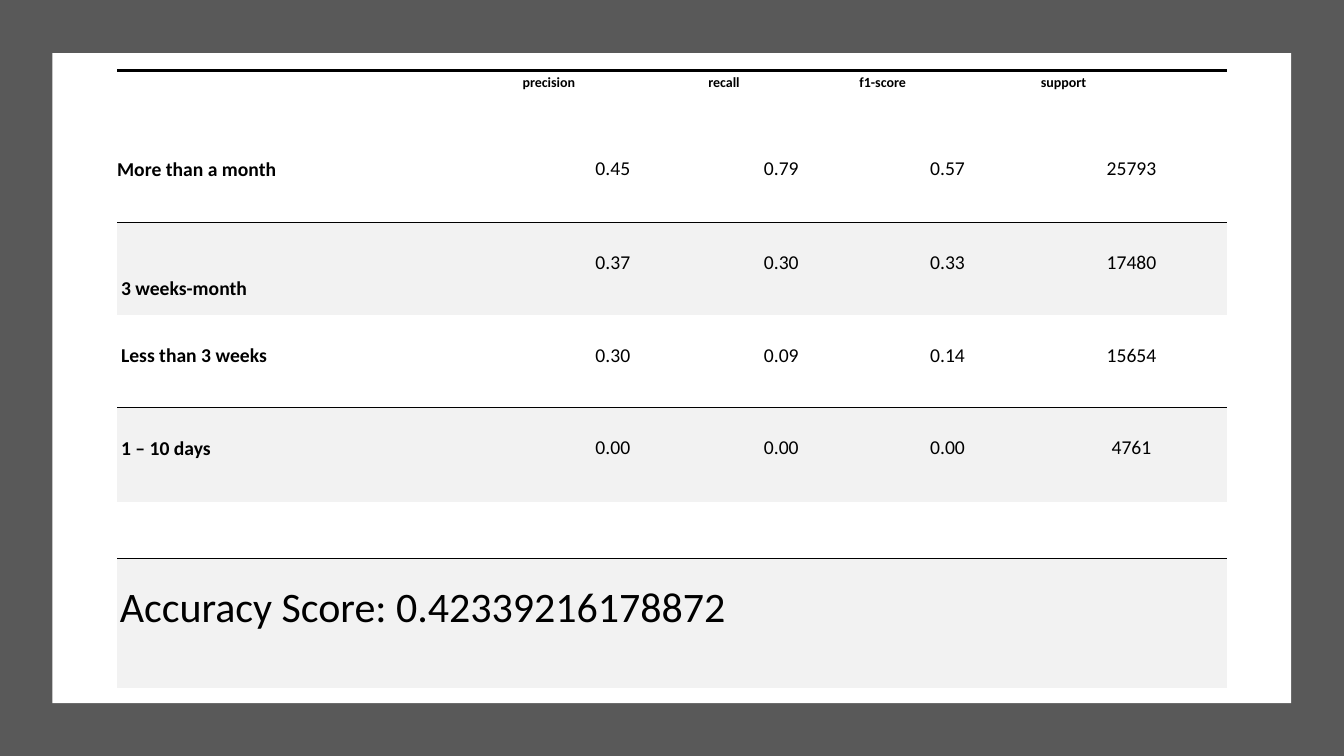
import lxml.etree
import pptx
import pptx.dml.color
import pptx.enum.shapes
import pptx.enum.text
import pptx.oxml.ns
import pptx.util
from pptx.util import Cm, Pt

CENTER = pptx.enum.text.PP_ALIGN.CENTER
LEFT = pptx.enum.text.PP_ALIGN.LEFT
NO_STYLE = "{2D5ABB26-0587-4C30-8999-92F81FD0307C}"

COLUMN_WIDTHS = [10.22, 4.68, 3.81, 4.57, 4.7]
ROW_HEIGHTS = [1.45, 2.36, 2.34, 2.34, 2.38, 1.42, 3.26]
METRICS = ["precision", "recall", "f1-score", "support"]
# label, left and top margin of the label in cm, values
CLASSES = [
    ("More than a month", 0, 0.7, ["0.45", "0.79", "0.57", "25793"]),
    ("3 weeks-month", 0.1, 1.34, ["0.37", "0.30", "0.33", "17480"]),
    ("Less than 3 weeks", 0.1, 0.7, ["0.30", "0.09", "0.14", "15654"]),
    ("1 – 10 days", 0.1, 0.7, ["0.00", "0.00", "0.00", "4761"]),
]
SHADED_ROWS = (2, 4, 6)


def paint(color_format, value):
    color_format.rgb = pptx.dml.color.RGBColor.from_string(value)


class ReportSlide:
    font = "Calibri"
    ink = "000000"
    paper = "FFFFFF"
    shade = "F2F2F2"
    surround = "595959"

    def __init__(self, presentation):
        self.slide = presentation.slides.add_slide(presentation.slide_layouts[6])

    def panel(self, left, top, width, height, color):
        shape = self.slide.shapes.add_shape(
            pptx.enum.shapes.MSO_SHAPE.RECTANGLE, left, top, width, height)
        shape.shadow.inherit = False
        shape.fill.solid()
        paint(shape.fill.fore_color, color)
        shape.line.fill.background()

    def table(self, left, top, column_widths, row_heights):
        """Add a plain table without style or banding."""
        frame = self.slide.shapes.add_table(
            len(row_heights), len(column_widths), left, top,
            Cm(sum(column_widths)), Cm(sum(row_heights)))
        table = frame.table
        table.first_row = table.horz_banding = False
        for style in frame.element.iter(pptx.oxml.ns.qn("a:tableStyleId")):
            style.text = NO_STYLE
        for column, width in zip(table.columns, column_widths):
            column.width = Cm(width)
        for row, height in zip(table.rows, row_heights):
            row.height = Cm(height)
        return table

    def frame_cell(self, cell, shaded, top_width, bottom_width):
        """Set fill and rules; a width of 0 means no rule."""
        properties = cell._tc.get_or_add_tcPr()
        for side, width in (("L", 0), ("R", 0), ("T", top_width), ("B", bottom_width)):
            line = lxml.etree.SubElement(properties, pptx.oxml.ns.qn(f"a:ln{side}"))
            if width:
                line.set("w", str(Pt(width)))
                fill = lxml.etree.SubElement(line, pptx.oxml.ns.qn("a:solidFill"))
                lxml.etree.SubElement(fill, pptx.oxml.ns.qn("a:srgbClr"), val=self.ink)
            else:
                lxml.etree.SubElement(line, pptx.oxml.ns.qn("a:noFill"))
        if shaded:
            cell.fill.solid()
            paint(cell.fill.fore_color, self.shade)
        else:
            cell.fill.background()

    def cell_text(self, cell, text, size, bold=False, alignment=LEFT, left=0, top=0.05):
        cell.margin_left, cell.margin_top = Cm(left), Cm(top)
        cell.margin_right, cell.margin_bottom = Cm(0.13), Cm(0)
        paragraph = cell.text_frame.paragraphs[0]
        paragraph.text = text
        paragraph.alignment = alignment
        paragraph.line_spacing = 1.07
        paragraph.font.name = self.font
        paragraph.font.size = Pt(size)
        paragraph.font.bold = bold
        paint(paragraph.font.color, self.ink)


def main():
    presentation = pptx.Presentation()
    presentation.slide_width, presentation.slide_height = Cm(33.87), Cm(19.05)
    report = ReportSlide(presentation)
    report.panel(0, 0, presentation.slide_width, presentation.slide_height, report.surround)
    report.panel(Cm(1.32), Cm(1.34), Cm(31.22), Cm(16.38), report.paper)

    table = report.table(Cm(2.95), Cm(1.78), COLUMN_WIDTHS, ROW_HEIGHTS)
    for row in range(len(ROW_HEIGHTS)):
        shaded = row in SHADED_ROWS
        top_width = 2.25 if row == 0 else 0.5 * shaded
        bottom_width = 0.5 * (row + 1 in SHADED_ROWS)
        for column in range(len(COLUMN_WIDTHS)):
            report.frame_cell(table.cell(row, column), shaded, top_width, bottom_width)

    for column, metric in enumerate(METRICS, 1):
        report.cell_text(table.cell(0, column), metric, 10, bold=True)
    for row, (label, left, top, values) in enumerate(CLASSES, 1):
        report.cell_text(table.cell(row, 0), label, 14, bold=True, left=left, top=top)
        for column, value in enumerate(values, 1):
            report.cell_text(table.cell(row, column), value, 14, alignment=CENTER, top=0.68)

    accuracy = table.cell(6, 0)
    accuracy.merge(table.cell(6, len(METRICS)))
    report.cell_text(accuracy, "Accuracy Score: 0.42339216178872", 30, left=0.07, top=0.51)
    presentation.save("out.pptx")


if __name__ == "__main__":
    main()
